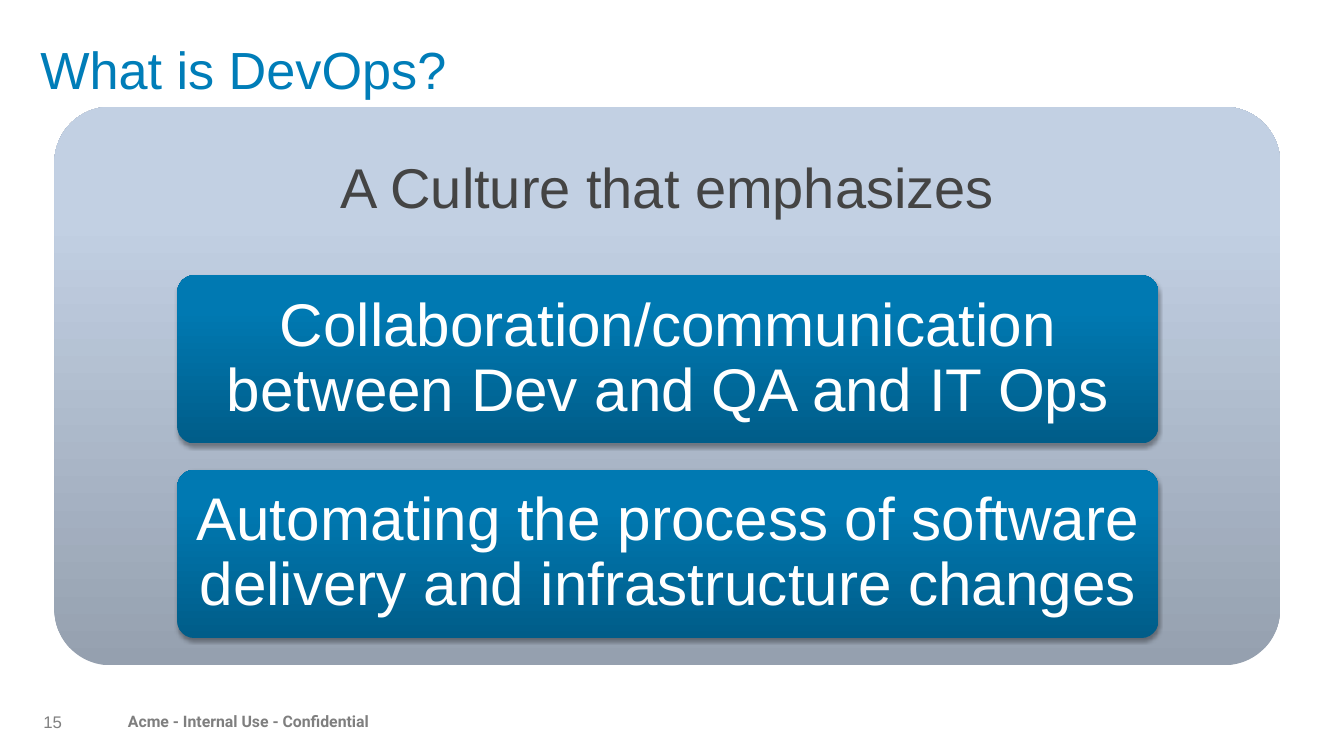
from dataclasses import dataclass

from lxml import etree
from pptx import Presentation
from pptx.dml import color
from pptx.enum import shapes, text
from pptx.oxml import ns
from pptx.util import Pt

CARD_TOP = 196.6
CARD_PITCH = 139
PANEL_LEFT, PANEL_TOP, PANEL_WIDTH = 38.9, 76.3, 875.5


@dataclass(frozen=True)
class Box:
    left: float
    top: float
    width: float
    height: float

    def lengths(self) -> list:
        return [Pt(n) for n in (self.left, self.top, self.width, self.height)]


@dataclass(frozen=True)
class Gradient:
    bottom: str
    upper: str
    top: str


PANEL_GRADIENT = Gradient("95A0AF", "C2D0E3", "C2D1E4")
CARD_GRADIENT = Gradient("005D89", "0079B2", "007AB3")
EMPHASES = (
    "Collaboration/communication between Dev and QA and IT Ops",
    "Automating the process of software delivery and infrastructure changes",
)


def rgb(value: str) -> color.RGBColor:
    return color.RGBColor.from_string(value)


def add_xml(parent, tag: str, **attributes):
    return etree.SubElement(parent, ns.qn(tag), attributes)


def write(frame, wording: str, *, size: float, ink: str, font: str = "Arial",
          bold: bool = False, align=text.PP_ALIGN.LEFT,
          anchor=text.MSO_ANCHOR.TOP, insets=(0, 0, 0, 0),
          before: float = 0) -> None:
    frame.word_wrap = True
    frame.vertical_anchor = anchor
    (frame.margin_left, frame.margin_top,
     frame.margin_right, frame.margin_bottom) = [Pt(n) for n in insets]
    paragraph = frame.paragraphs[0]
    paragraph.alignment = align
    paragraph.line_spacing = 0.9
    paragraph.space_before = Pt(before)
    run = paragraph.add_run()
    run.text = wording
    run.font.name = font
    run.font.size = Pt(size)
    run.font.bold = bold
    run.font.color.rgb = rgb(ink)


def add_label(slide, box: Box, wording: str, **style) -> None:
    label = slide.shapes.add_textbox(*box.lengths())
    write(label.text_frame, wording, **style)


def add_rounded(slide, box: Box, gradient: Gradient, shadow: bool = False):
    rounded = slide.shapes.add_shape(
        shapes.MSO_SHAPE.ROUNDED_RECTANGLE, *box.lengths())
    rounded.adjustments[0] = 0.1
    rounded.line.fill.background()
    rounded.fill.gradient()
    rounded.fill.gradient_angle = 90
    stops = rounded.element.spPr.find(".//" + ns.qn("a:gsLst"))
    for stop in list(stops):
        stops.remove(stop)
    for position, tint in ((0, gradient.bottom), (80, gradient.upper),
                           (100, gradient.top)):
        stop = add_xml(stops, "a:gs", pos=str(position * 1000))
        add_xml(stop, "a:srgbClr", val=tint)
    rounded.shadow.inherit = False
    if shadow:
        effects = rounded.element.spPr.find(ns.qn("a:effectLst"))
        outer = add_xml(effects, "a:outerShdw", blurRad=str(Pt(3.1)),
                        dist=str(Pt(1.8)), dir="5400000", rotWithShape="0")
        black = add_xml(outer, "a:srgbClr", val="000000")
        add_xml(black, "a:alpha", val="35000")
    rounded.fill.gradient_angle = 90
    return rounded


def main() -> None:
    deck = Presentation()
    deck.slide_width, deck.slide_height = Pt(960), Pt(540)
    slide = deck.slides.add_slide(deck.slide_layouts[6])
    middle, center = text.MSO_ANCHOR.MIDDLE, text.PP_ALIGN.CENTER

    add_label(slide, Box(0, 506.2, 960, 33.8),
              "Acme - Internal Use - Confidential", size=11.3, ink="7F7F7F",
              font="Roboto", bold=True, insets=(91.4, 3.6, 7.2, 3.6))
    add_label(slide, Box(31, 512, 28, 9.4), "15", size=12, ink="808080",
              anchor=middle)
    add_label(slide, Box(28.8, 28.1, 835.2, 69.8), "What is DevOps?",
              size=37.3, ink="007DB8", insets=(0, 3.6, 0, 3.6))

    add_rounded(slide, Box(PANEL_LEFT, PANEL_TOP, PANEL_WIDTH, 398.9),
                PANEL_GRADIENT)
    add_label(slide, Box(PANEL_LEFT, PANEL_TOP, PANEL_WIDTH, 119.5),
              "A Culture that emphasizes", size=40, ink="444444",
              align=center, anchor=middle, insets=(12.2,) * 4)
    for index, emphasis in enumerate(EMPHASES):
        card = add_rounded(
            slide, Box(126.7, CARD_TOP + index * CARD_PITCH, 700.6, 120.2),
            CARD_GRADIENT, shadow=True)
        write(card.text_frame, emphasis, size=43, ink="FFFFFF", align=center,
              anchor=middle, insets=(8.6, 6.5, 8.6, 6.5))

    deck.save("out.pptx")


if __name__ == "__main__":
    main()
